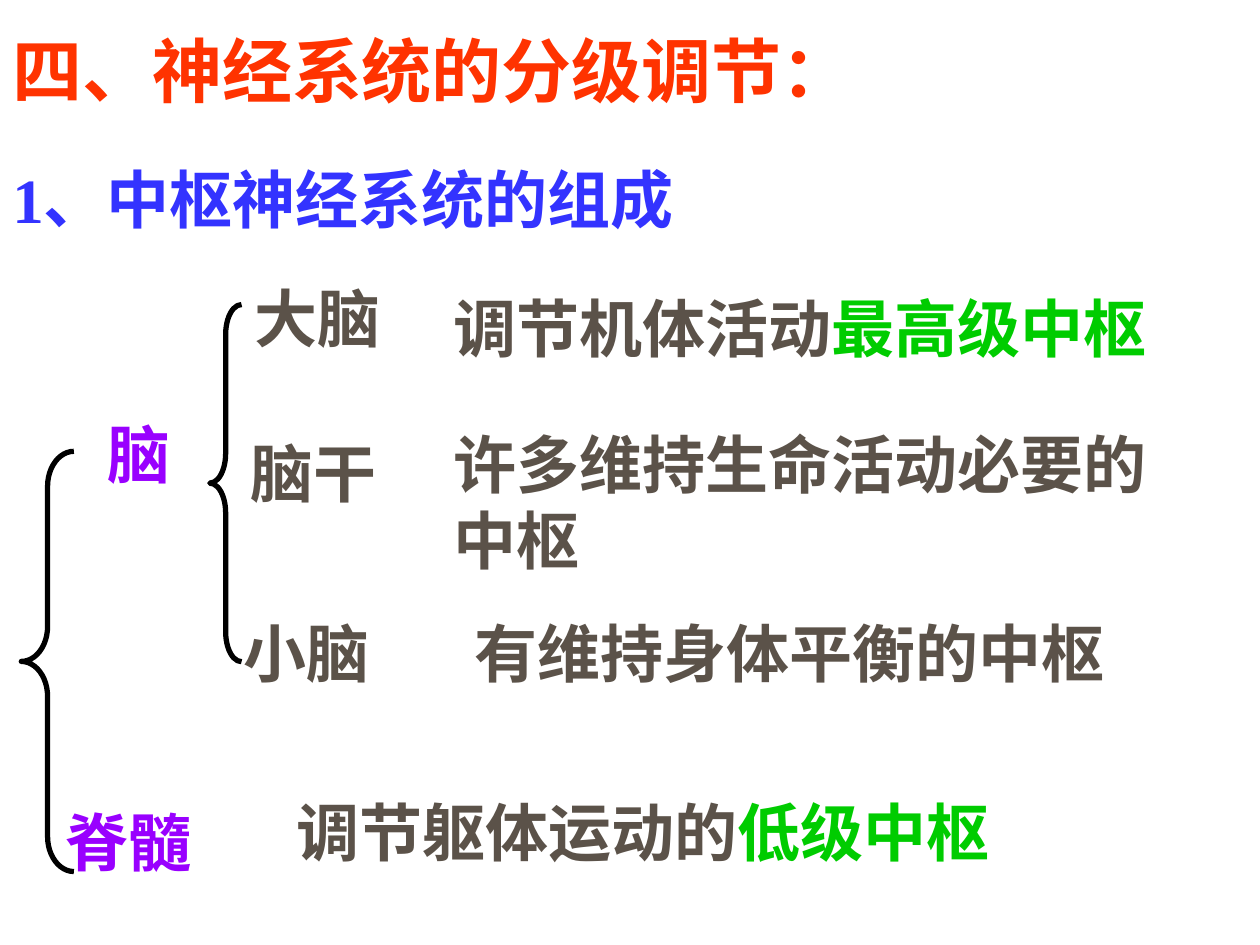
from dataclasses import dataclass

from pptx import Presentation
from pptx import util as u
from pptx.dml.color import RGBColor
from pptx.enum import shapes, text


@dataclass(frozen=True)
class Theme:
    font: str = "Times New Roman"
    title_size: int = 40
    body_size: int = 36
    brace_width: int = 3
    title: str = "FF3300"
    section: str = "3333FF"
    division: str = "9900FF"
    body: str = "5B5249"
    highlight: str = "00CC00"
    brace: str = "000000"


THEME = Theme()


@dataclass(frozen=True)
class Label:
    """A text box in centimetres, with an optional highlighted ending."""
    words: str
    left: float
    top: float
    width: float
    color: str = THEME.body
    ending: str = ""
    size: int = THEME.body_size
    lines: int = 1


@dataclass(frozen=True)
class Brace:
    left: float
    top: float
    width: float
    height: float


LABELS = [
    # Headings
    Label("四、神经系统的分级调节：", 0, 0.43, 23.5, THEME.title, size=THEME.title_size),
    Label("1、中枢神经系统的组成", 0, 3.12, 15.44, THEME.section),
    # Main divisions
    Label("脑", 1.91, 8.26, 2.74, THEME.division),
    Label("脊髓", 1.07, 16.08, 4.11, THEME.division),
    # Parts of the brain
    Label("大脑", 4.88, 5.51, 5.28),
    Label("脑干", 4.8, 8.64, 5.28),
    Label("小脑", 4.65, 12.27, 5.28),
    # Functions
    Label("调节机体活动", 8.89, 5.72, 15.24, ending="最高级中枢"),
    Label("许多维持生命活动必要的中枢", 8.89, 8.46, 15.67, lines=2),
    Label("有维持身体平衡的中枢", 9.32, 12.27, 13.77),
    Label("调节躯体运动的", 5.72, 15.88, 16.51, ending="低级中枢"),
]

BRACES = [
    Brace(0.43, 9.1, 1.06, 8.47),   # central nervous system
    Brace(4.23, 6.14, 0.64, 7.2),   # brain
]


def add_label(slide, label: Label) -> None:
    line_height = label.size * 1.2 * 2.54 / 72
    box = slide.shapes.add_textbox(
        u.Cm(label.left), u.Cm(label.top),
        u.Cm(label.width), u.Cm(label.lines * line_height + 0.25))
    frame = box.text_frame
    frame.word_wrap = True
    frame.auto_size = text.MSO_AUTO_SIZE.SHAPE_TO_FIT_TEXT
    frame.text = label.words
    paragraph = frame.paragraphs[0]
    if label.ending:
        paragraph.add_run().text = label.ending
    for run, color in zip(paragraph.runs, (label.color, THEME.highlight)):
        run.font.name = THEME.font
        run.font.size = u.Pt(label.size)
        run.font.bold = True
        run.font.color.rgb = RGBColor.from_string(color)


def add_brace(slide, brace: Brace) -> None:
    shape = slide.shapes.add_shape(
        shapes.MSO_SHAPE.LEFT_BRACE, u.Cm(brace.left), u.Cm(brace.top),
        u.Cm(brace.width), u.Cm(brace.height))
    # Each curve takes a twelfth of the height
    shape.adjustments[0] = brace.height / 12 / brace.width
    shape.shadow.inherit = False
    shape.fill.background()
    shape.line.color.rgb = RGBColor.from_string(THEME.brace)
    shape.line.width = u.Pt(THEME.brace_width)


def main() -> None:
    presentation = Presentation()
    presentation.slide_width = u.Cm(25.4)
    presentation.slide_height = u.Cm(19.05)
    slide = presentation.slides.add_slide(presentation.slide_layouts[6])
    for brace in BRACES:
        add_brace(slide, brace)
    for label in LABELS:
        add_label(slide, label)
    presentation.save("out.pptx")


if __name__ == "__main__":
    main()
